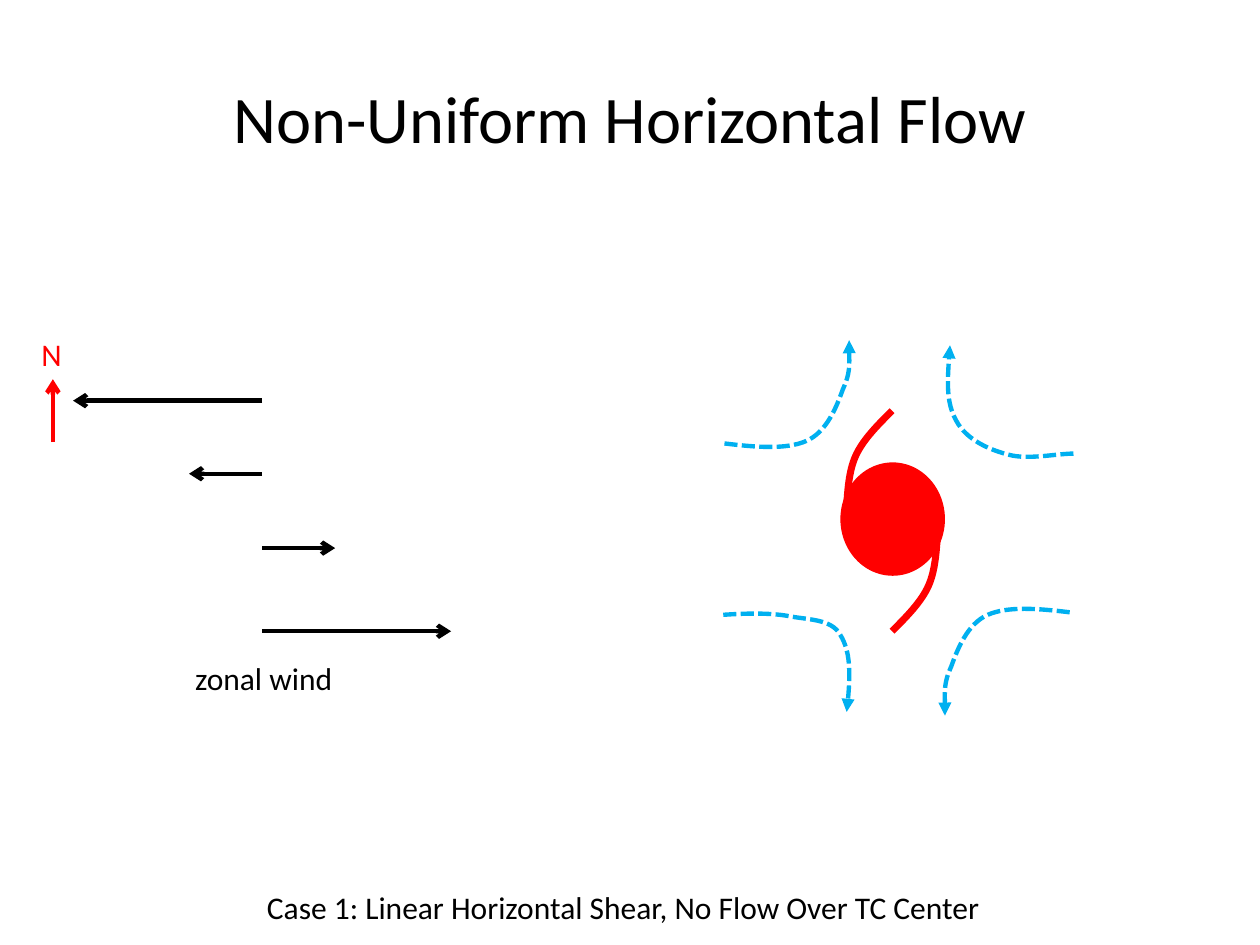
"""Build the slide on linear horizontal shear around a tropical cyclone."""
from lxml.etree import SubElement
from pptx import Presentation
from pptx.dml.color import RGBColor
from pptx.enum.dml import MSO_LINE
from pptx.enum.shapes import MSO_CONNECTOR, MSO_SHAPE
from pptx.enum.text import MSO_ANCHOR, MSO_AUTO_SIZE, PP_ALIGN
from pptx.oxml.ns import qn
from pptx.util import Inches, Pt

THEME = {
    "font": "Calibri",
    "ink": RGBColor(0x00, 0x00, 0x00),
    "storm": RGBColor(0xFF, 0x00, 0x00),
    "flow": RGBColor(0x00, 0xB0, 0xF0),
    "title": Pt(38),
    "label": Pt(18),
    "arrow": Pt(2.5),
    "arm": Pt(4),
}

deck = Presentation()
deck.slide_width, deck.slide_height = Inches(10), Inches(7.5)
CELL = deck.slide_width // 1000
slide = deck.slides.add_slide(deck.slide_layouts[5])


def style_line(stroke, color, width, tip=None):
    """Colour a stroke, remove its shadow and put a tip on its end."""
    stroke.line.color.rgb = THEME[color]
    stroke.line.width = THEME[width]
    properties = stroke.line._get_or_add_ln().getparent()
    if properties.find(qn("a:effectLst")) is None:
        SubElement(properties, qn("a:effectLst"))
    if tip:
        SubElement(properties.find(qn("a:ln")), qn("a:tailEnd"), type=tip)


def draw_curve(shapes, points):
    """Draw an open chain of cubic curves, three points to each curve."""
    builder = shapes.build_freeform(*points[0], scale=CELL)
    builder.add_line_segments(points[1:], close=False)
    curve = builder.convert_to_shape()
    curve.fill.background()
    segments = list(curve._element.iter(qn("a:lnTo")))
    for first in range(0, len(segments), 3):
        cubic = SubElement(segments[first].getparent(), qn("a:cubicBezTo"))
        for segment in segments[first:first + 3]:
            cubic.append(segment[0])
            segment.getparent().remove(segment)
    return curve


title = slide.shapes.title
title_format = {"left": 50, "top": 30, "width": 900, "height": 125}
for attribute, cells in title_format.items():
    setattr(title, attribute, cells * CELL)
title.text_frame.text = "Non-Uniform Horizontal Flow"
title.text_frame.vertical_anchor = MSO_ANCHOR.MIDDLE
title.text_frame.paragraphs[0].alignment = PP_ALIGN.CENTER
title_font = {"name": THEME["font"], "size": THEME["title"]}
for attribute, value in title_font.items():
    setattr(title.text_frame.paragraphs[0].font, attribute, value)
title.text_frame.paragraphs[0].font.color.rgb = THEME["ink"]

AXIS = 208
wind_by_row = {318: -150, 376: -58, 435: 58, 501: 150}
arrows = [(AXIS, row, AXIS + wind, row, "ink") for row, wind in wind_by_row.items()]
arrows.append((42, 351, 42, 301, "storm"))
for *ends, color in arrows:
    arrow = slide.shapes.add_connector(
        MSO_CONNECTOR.STRAIGHT, *(cells * CELL for cells in ends))
    style_line(arrow, color, "arrow", "arrow")

cyclone = slide.shapes.add_group_shape()
center = cyclone.shapes.add_shape(
    MSO_SHAPE.OVAL, *(cells * CELL for cells in (667, 367, 83, 90)))
center.shadow.inherit = False
center.fill.solid()
center.fill.fore_color.rgb = THEME["storm"]
center.line.fill.background()

upper_arm = [(672, 401), (673, 387), (674, 372), (680, 360),
             (686, 348), (697, 337), (708, 326)]
lower_arm = [(1416 - x, 827 - y) for x, y in upper_arm]
for arm_points in (upper_arm, lower_arm):
    style_line(draw_curve(cyclone.shapes, arm_points), "storm", "arm")

northwest = [(575, 352), (600, 355), (624, 357), (640, 350), (656, 343),
             (664, 323), (669, 309), (675, 296), (674, 283), (674, 270)]
southeast = [(1424 - x, 838 - y) for x, y in northwest]
southwest = [(574, 488), (588, 487), (610, 486), (626, 489), (641, 492),
             (660, 491), (667, 504), (675, 517), (675, 540), (672, 565)]
northeast = [(852, 360), (839, 360), (816, 365), (801, 361), (785, 357),
             (767, 349), (759, 334), (751, 320), (752, 298), (754, 274)]
for flow_points in (northwest, southeast, southwest, northeast):
    streamline = draw_curve(slide.shapes, flow_points)
    streamline.line.dash_style = MSO_LINE.SQUARE_DOT
    style_line(streamline, "flow", "arrow", "triangle")

labels = [
    ("N", (23, 261, 36, 40), "storm"),
    ("zonal wind", (145, 518, 130, 40), "ink"),
    ("Case 1: Linear Horizontal Shear, No Flow Over TC Center",
     (202, 700, 589, 40), "ink"),
]
frame_format = {"word_wrap": False, "auto_size": MSO_AUTO_SIZE.SHAPE_TO_FIT_TEXT}
label_font = {"name": THEME["font"], "size": THEME["label"]}
for wording, place, color in labels:
    label = slide.shapes.add_textbox(*(cells * CELL for cells in place)).text_frame
    label.text = wording
    for attribute, value in frame_format.items():
        setattr(label, attribute, value)
    for attribute, value in label_font.items():
        setattr(label.paragraphs[0].font, attribute, value)
    label.paragraphs[0].font.color.rgb = THEME[color]

deck.save("out.pptx")
